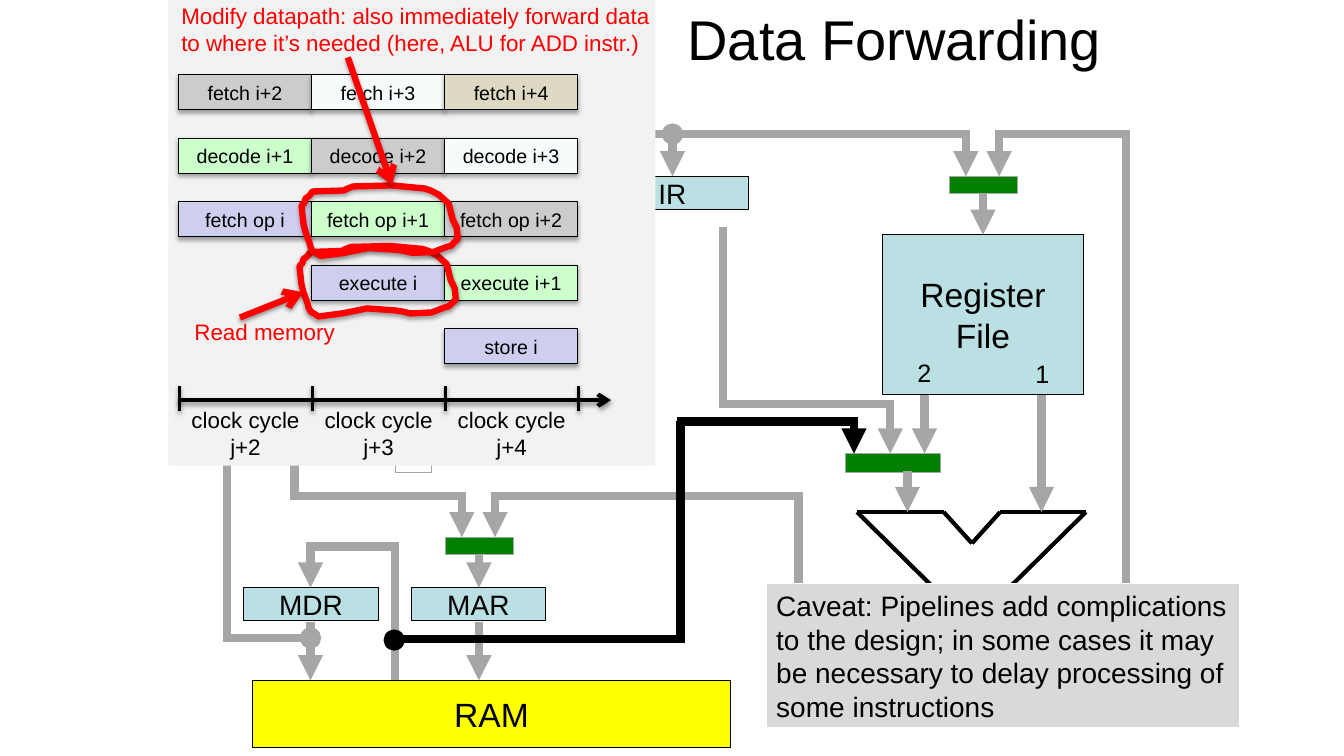
from dataclasses import dataclass
from typing import Any

from lxml.etree import SubElement
from pptx import Presentation
from pptx.dml.color import RGBColor
from pptx.enum.shapes import MSO_CONNECTOR, MSO_SHAPE
from pptx.enum.text import MSO_ANCHOR, PP_ALIGN
from pptx.oxml.ns import qn
from pptx.util import Cm, Pt

BLACK = RGBColor(0, 0, 0)
WHITE = RGBColor(255, 255, 255)
GRAY = RGBColor(0xA6, 0xA6, 0xA6)
PALE = RGBColor(0xF2, 0xF2, 0xF2)
SILVER = RGBColor(0xD9, 0xD9, 0xD9)
TEAL = RGBColor(0xBB, 0xE0, 0xE3)
GREEN = RGBColor(0, 0x80, 0)
YELLOW = RGBColor(255, 255, 0)
RED = RGBColor(255, 0, 0)
LILAC = RGBColor(0xCE, 0xCE, 0xEF)
MINT = RGBColor(0xCC, 0xFF, 0xCC)
ASH = RGBColor(0xCC, 0xCC, 0xCC)
SNOW = RGBColor(0xF8, 0xFB, 0xFC)
SAND = RGBColor(0xDD, 0xD9, 0xC3)

TINTS = [LILAC, MINT, ASH, SNOW, SAND]
STAGES = ["fetch", "decode", "fetch op", "execute", "store"]
LOOP = [
    (1.5, .34), (1.46, .18), (1.36, .09), (1.28, .05), (1.22, .03), (.9, 0),
    (.51, .01), (.46, .03), (.42, .05), (.11, .06), (.08, .1), (.04, .13),
    (.03, .17), (0, .2), (.02, .38), (.04, .46), (.08, .57), (.09, .61),
    (.11, .65), (.19, .7), (.42, .67), (.52, .65), (.67, .62), (.95, .64),
    (1.02, .65), (1.1, .67), (1.31, .66), (1.44, .61), (1.48, .6),
    (1.52, .56), (1.55, .53), (1.54, .42),
]


def span(n):
    """Turn slide units of 2.54 cm into a length."""
    return Cm(2.54 * n)


def write(shape, lines, size, color=BLACK, align=PP_ALIGN.CENTER,
          anchor=MSO_ANCHOR.MIDDLE, wrap=True):
    """Fill a shape with one paragraph per line."""
    frame = shape.text_frame
    frame.word_wrap = wrap
    frame.vertical_anchor = anchor
    for i, line in enumerate(lines):
        para = frame.add_paragraph() if i else frame.paragraphs[0]
        para.alignment = align
        run = para.add_run()
        run.text = line
        font = run.font
        font.name, font.size, font.color.rgb = "Arial", Pt(size), color


def shade(effects, alpha):
    """Put a soft drop shadow in an effect list."""
    cast = SubElement(effects, qn("a:outerShdw"), blurRad=str(Pt(3.1)),
                      dist=str(Pt(1.8)), dir="5400000", rotWithShape="0")
    tone = SubElement(cast, qn("a:srgbClr"), val="000000")
    SubElement(tone, qn("a:alpha"), val=str(alpha * 1000))


@dataclass
class Area:
    """A region that places parts relative to its own corner."""
    shapes: Any
    left: float
    top: float

    def spot(self, x, y):
        """Give the slide position of a point in the region."""
        return span(self.left + x), span(self.top + y)

    def style(self, shape, fill, edge, width, soft):
        """Set fill, outline and shadow of a shape."""
        shape.shadow.inherit = False
        if fill is None:
            shape.fill.background()
        else:
            shape.fill.solid()
            shape.fill.fore_color.rgb = fill
        if edge is None:
            shape.line.fill.background()
        else:
            shape.line.color.rgb = edge
            shape.line.width = Pt(width)
        if soft:
            shade(shape.element.spPr.find(qn("a:effectLst")), 35)

    def box(self, x, y, w, h, fill, lines=(), size=20, edge=BLACK,
            kind=MSO_SHAPE.RECTANGLE, soft=False):
        """Add a preset shape with centred text."""
        shape = self.shapes.add_shape(kind, *self.spot(x, y), span(w), span(h))
        self.style(shape, fill, edge, .75, soft)
        write(shape, lines, size)
        return shape

    def dot(self, x, y, color):
        """Add a junction dot centred on a point."""
        self.box(x - .1, y - .1, .2, .2, color, edge=color, kind=MSO_SHAPE.OVAL)

    def note(self, x, y, w, h, text, size, color=BLACK, align=PP_ALIGN.LEFT,
             wrap=True, inset=.1):
        """Add a text box."""
        shape = self.shapes.add_textbox(*self.spot(x, y), span(w), span(h))
        frame = shape.text_frame
        frame.margin_left = frame.margin_right = span(inset)
        write(shape, [text], size, color, align, MSO_ANCHOR.TOP, wrap)

    def wire(self, start, end, color, width, head=None, soft=False):
        """Add a straight line, with an arrowhead if one is named."""
        line = self.shapes.add_connector(
            MSO_CONNECTOR.STRAIGHT, *self.spot(*start), *self.spot(*end))
        line.line.color.rgb = color
        line.line.width = Pt(width)
        props = line.element.spPr
        if head:
            SubElement(props.find(qn("a:ln")), qn("a:tailEnd"), type=head)
        effects = SubElement(props, qn("a:effectLst"))
        if soft:
            shade(effects, 38)

    def route(self, points, color=GRAY, head="triangle"):
        """Join points by thick wires with square corners."""
        last = len(points) - 2
        for i, ((ax, ay), (bx, by)) in enumerate(zip(points, points[1:])):
            if ay == by:
                lap = .04 if bx > ax else -.04
                ax -= lap if i else 0
                bx += lap if i < last else 0
            self.wire((ax, ay), (bx, by), color, 6, head if i == last else None)

    def loop(self, x, y):
        """Circle a cell by hand in red."""
        dots = [self.spot(x + dx, y + dy) for dx, dy in LOOP]
        pen = self.shapes.build_freeform(*dots[0])
        pen.add_line_segments(dots[1:], close=True)
        self.style(pen.convert_to_shape(), None, RED, 4.5, True)


def head(slide, x, y, w, h):
    """Place the title."""
    title = slide.shapes.title
    title.left, title.top = span(x), span(y)
    title.width, title.height = span(w), span(h)
    write(title, ["Data Forwarding"], 40)


def units(slide, x, y):
    """Place the registers, memory, gates and arithmetic unit."""
    area = Area(slide.shapes, x, y)
    area.box(3.92, .75, 1.5, .33, TEAL, ["IR"])
    area.box(6.75, 1.33, 2, 1.58, TEAL, ["Register", "File"], 24)
    for left, name in ((.42, "MDR"), (2.08, "MAR")):
        area.box(left, 4.83, 1.33, .33, TEAL, [name])
    area.box(.5, 5.75, 4.75, .67, YELLOW, ["RAM"], 24)
    area.box(1.92, 3.25, .36, .44, None, edge=GRAY)
    for gate in ((2.42, 4.33, .67, .17), (7.42, .75, .67, .17),
                 (6.39, 3.5, .94, .19)):
        area.box(*gate, GREEN, edge=GRAY)
    rim = [(7.26, 4.83), (6.5, 4.08), (7.36, 4.08), (7.64, 4.39),
           (7.92, 4.08), (8.77, 4.08), (8.01, 4.83)]
    alu = Area(slide.shapes.add_group_shape().shapes, x, y)
    for start, end in zip(rim, rim[1:]):
        alu.wire(start, end, BLACK, 3)
    for left, top, port in ((8.17, 2.51, "1"), (7, 2.5, "2")):
        area.note(left, top, .34, .4, port, 18, wrap=False)


def wires(slide, x, y):
    """Draw the buses and the black forwarding path."""
    area = Area(slide.shapes, x, y)
    for left, top, end in ((4.67, .33, .75), (1.08, 5.17, 5.75),
                           (2.75, 5.17, 5.75), (2.75, 4.5, 4.83),
                           (7.75, .92, 1.33), (7.17, 2.92, 3.5),
                           (8.33, 2.92, 4.08), (7, 3.67, 4.08)):
        area.route([(left, top), (left, end)])
    for points in (
            [(1.08, 5.33), (.25, 5.33), (.25, .33), (7.58, .33), (7.58, .75)],
            [(.92, .87), (.92, 3.92), (2.58, 3.92), (2.58, 4.33)],
            [(1.92, 5.75), (1.92, 4.42), (1.08, 4.42), (1.08, 4.83)],
            [(5.17, 1.25), (5.17, 3.01), (6.83, 3.01), (6.83, 3.5)],
            [(9.17, 6.04), (9.17, .33), (7.91, .33), (7.91, .75)],
            [(5.92, 6.03), (5.92, 3.92), (2.91, 3.92), (2.91, 4.33)]):
        area.route(points)
    area.dot(1.08, 5.33, GRAY)
    area.dot(4.67, .33, GRAY)
    area.route([(1.91, 5.34), (4.75, 5.34), (4.75, 3.18), (6.47, 3.18),
                (6.47, 3.5)], BLACK)
    area.dot(1.91, 5.35, BLACK)


def panel(slide, x, y, w, h):
    """Draw the pipeline chart with its red remarks."""
    area = Area(slide.shapes.add_group_shape().shapes, x, y)
    area.box(0, 0, w, h, PALE, edge=None)
    step = 1.32
    for row, stage in enumerate(STAGES):
        for col in range(3):
            n = 2 + col - row
            if n >= 0:
                label = f"{stage} i+{n}" if n else f"{stage} i"
                area.box(.1 + step * col, .77 + .63 * row, step, .35,
                         TINTS[n], [label], 14, soft=True)
    area.wire((.1, 4), (4.39, 4), BLACK, 3, "arrow", True)
    for col in range(4):
        left = .11 + step * col
        area.wire((left, 3.86), (left, 4.11), BLACK, 2, soft=True)
        if col < 3:
            area.note(left + .02, 4.01, 1.27, .64, f"clock cycle j+{col + 2}",
                      16, align=PP_ALIGN.CENTER, inset=.05)
    area.loop(1.3, 2.47)
    area.loop(1.32, 1.87)
    area.note(.16, 3.14, 1.85, .37, "Read memory", 16, RED)
    area.note(.03, 0, 4.87, .64, "Modify datapath: also immediately forward "
              "data to where it’s needed (here, ALU for ADD instr.)", 16, RED)
    area.wire((.71, 3.18), (1.34, 2.93), RED, 4.5, "arrow", True)
    area.wire((1.78, .6), (2.22, 1.87), RED, 4.5, "arrow", True)


def caveat(slide, x, y, w, h):
    """Place the closing remark."""
    shape = Area(slide.shapes, x, y).box(0, 0, w, h, SILVER, edge=WHITE)
    write(shape, ["Caveat: Pipelines add complications to the design; in some "
                  "cases it may be necessary to delay processing of some "
                  "instructions"], 20, align=PP_ALIGN.LEFT, anchor=MSO_ANCHOR.TOP)


deck = Presentation()
deck.slide_width, deck.slide_height = span(13.33), span(7.5)
page = deck.slides.add_slide(deck.slide_layouts[5])
head(page, 6.01, -.08, 5.72, .92)
units(page, 2, 1)
wires(page, 2, 1)
panel(page, 1.67, -.03, 4.83, 4.65)
caveat(page, 7.6, 5.79, 4.69, 1.43)
deck.save("out.pptx")
